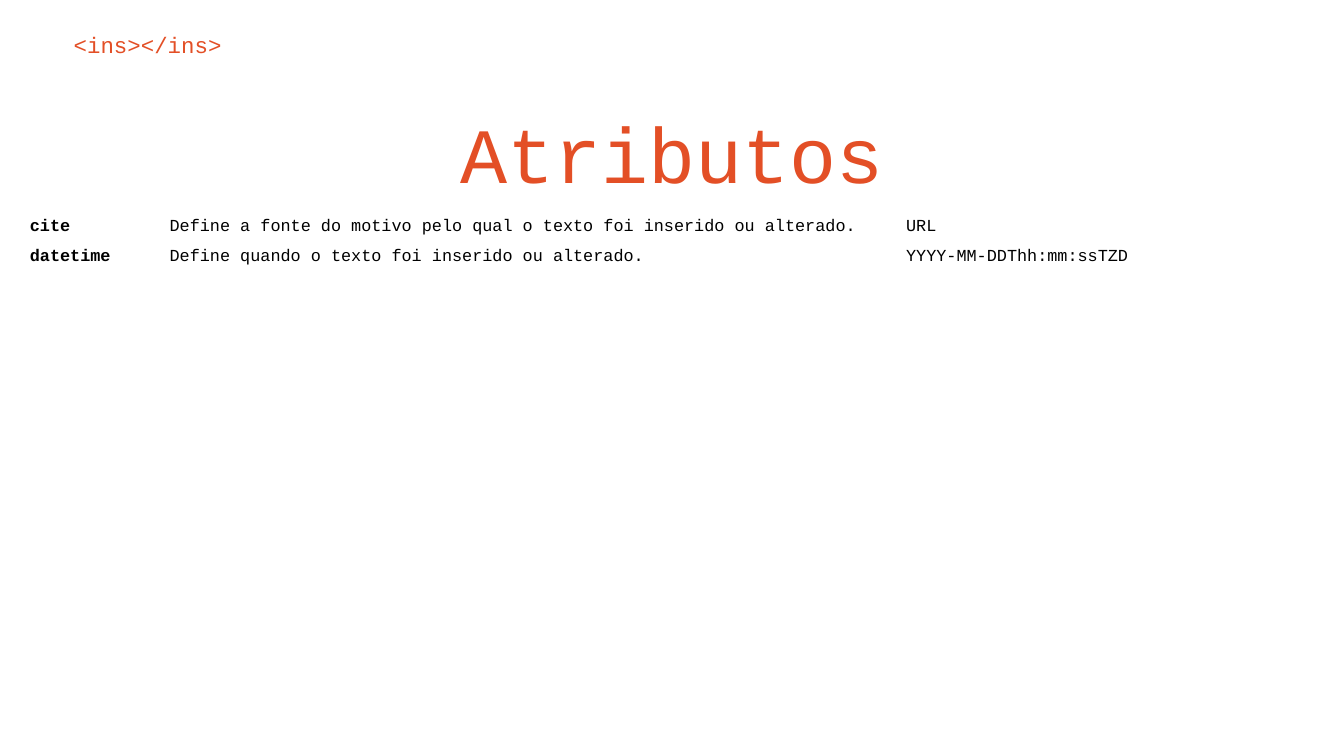
"""Build the slide that lists the attributes of the HTML ins element."""
from collections import namedtuple

from pptx import Presentation
from pptx.dml.color import RGBColor
from pptx.enum.text import MSO_ANCHOR as Anchor, PP_ALIGN as Align
from pptx.util import Inches, Pt

Theme = namedtuple("Theme", "font accent ink tag_size title_size cell_size")
theme = Theme("Courier New", RGBColor(0xE3, 0x4F, 0x26), RGBColor(0, 0, 0), 12, 42, 9)


def set_margins(target, margin):
    target.margin_left = target.margin_right = margin
    target.margin_top = target.margin_bottom = margin


def style_text(frame, size, color, bold=False, align=Align.LEFT):
    para = frame.paragraphs[0]
    para.alignment = align
    for span in para.runs:
        span.font.name = theme.font
        span.font.size = Pt(size)
        span.font.bold = bold
        span.font.color.rgb = color


deck = Presentation()
deck.slide_width = Inches(10)
deck.slide_height = deck.slide_width * 9 // 16
column, row = deck.slide_width / 100, deck.slide_height / 100
page = deck.slides.add_slide(deck.slide_layouts[6])

headings = [
    ("<ins></ins>", (4.5, 2.3, 91.8, 7.5), theme.tag_size, Align.LEFT, Anchor.TOP),
    ("Atributos", (7.15, 12.8, 85.7, 15.3), theme.title_size, Align.CENTER, Anchor.BOTTOM),
]
for text, (left, top, width, height), size, align, anchor in headings:
    box = page.shapes.add_textbox(
        round(left * column), round(top * row), round(width * column), round(height * row)
    )
    frame = box.text_frame
    frame.word_wrap = True
    frame.vertical_anchor = anchor
    set_margins(frame, Inches(0.1))
    frame.text = text
    style_text(frame, size, theme.accent, align=align)

attributes = [
    ("cite", "Define a fonte do motivo pelo qual o texto foi inserido ou alterado.", "URL"),
    ("datetime", "Define quando o texto foi inserido ou alterado.", "YYYY-MM-DDThh:mm:ssTZD"),
]
column_shares = (10.4, 54.8, 30)
row_share = 3.6
table = page.shapes.add_table(
    len(attributes), len(column_shares),
    round(1.85 * column), round(28.1 * row),
    round(sum(column_shares) * column), round(len(attributes) * row_share * row),
).table
table.first_row = table.horz_banding = False

for table_column, share in zip(table.columns, column_shares):
    table_column.width = round(share * column)
for table_row, attribute in zip(table.rows, attributes):
    table_row.height = round(row_share * row)
    for index, (cell, text) in enumerate(zip(table_row.cells, attribute)):
        cell.fill.background()
        set_margins(cell, Pt(2.7))
        cell.text_frame.text = text
        style_text(cell.text_frame, theme.cell_size, theme.ink, bold=index == 0)

deck.save("out.pptx")
